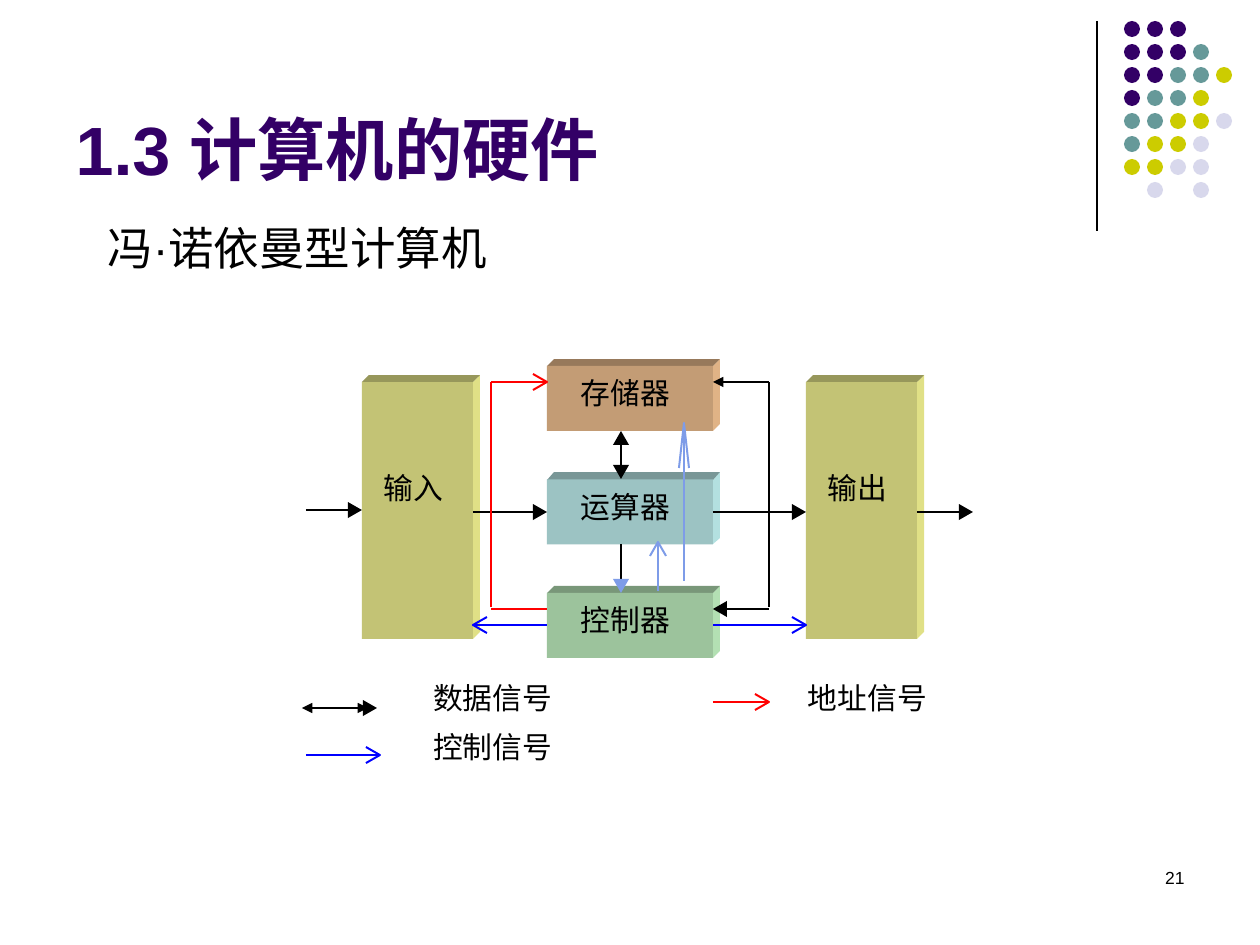
from math import hypot

from pptx import Presentation
from pptx.dml.color import RGBColor
from pptx.enum.shapes import MSO_CONNECTOR, MSO_SHAPE
from pptx.enum.text import MSO_ANCHOR, MSO_AUTO_SIZE, PP_ALIGN
from pptx.oxml.ns import qn
from pptx.util import Pt
from lxml import etree

STRAIGHT = MSO_CONNECTOR.STRAIGHT
OVAL, RECTANGLE = MSO_SHAPE.OVAL, MSO_SHAPE.RECTANGLE
TOP, BOTTOM = MSO_ANCHOR.TOP, MSO_ANCHOR.BOTTOM
LEFT, RIGHT = PP_ALIGN.LEFT, PP_ALIGN.RIGHT
NO_FIT = MSO_AUTO_SIZE.NONE

BLACK = RGBColor(0x00, 0x00, 0x00)
RED = RGBColor(0xFF, 0x00, 0x00)
BLUE = RGBColor(0x00, 0x00, 0xFF)
SKY = RGBColor(0x7E, 0x9C, 0xE8)
PURPLE = RGBColor(0x33, 0x00, 0x66)
TEAL = RGBColor(0x66, 0x99, 0x99)
YELLOW = RGBColor(0xCC, 0xCC, 0x00)
LILAC = RGBColor(0xD8, 0xD8, 0xEC)
# Front, top and side of each block
BROWN_FACES = RGBColor(0xC3, 0x9C, 0x75), RGBColor(0x97, 0x79, 0x5B), RGBColor(0xE0, 0xB3, 0x86)
OLIVE_FACES = RGBColor(0xC3, 0xC3, 0x75), RGBColor(0x97, 0x97, 0x5B), RGBColor(0xE0, 0xE0, 0x86)
AQUA_FACES = RGBColor(0x9C, 0xC3, 0xC3), RGBColor(0x79, 0x97, 0x97), RGBColor(0xB3, 0xE0, 0xE0)
GREEN_FACES = RGBColor(0x9C, 0xC3, 0x9C), RGBColor(0x79, 0x97, 0x79), RGBColor(0xB3, 0xE0, 0xB3)

EMU_PER_PX = 914400 / 126
LATIN, CHINESE = "Arial", "Noto Sans CJK SC"
DOT_COLOURS = {"p": PURPLE, "t": TEAL, "y": YELLOW, "l": LILAC}
DOT_ROWS = ["ppp", "pppt", "pptty", "ptty", "ttyyl", "tyyl", "yyll", ".l.l"]


def emu(*lengths):
    return [round(length * EMU_PER_PX) for length in lengths]


class Slide:
    line_width = Pt(1.13)
    label_size = 17
    depth = 7

    def __init__(self, page):
        self.page = page
        self.shapes = page.shapes

    def set_text(self, box, text, size, font, colour=BLACK, bold=False, align=LEFT, anchor=TOP):
        frame = box.text_frame
        frame.text = text
        frame.auto_size = NO_FIT
        frame.vertical_anchor = anchor
        para = frame.paragraphs[0]
        para.alignment = align
        for span in para.runs:
            span.font.size, span.font.name, span.font.bold = Pt(size), font, bold
            span.font.color.rgb = colour
            east_asian = etree.SubElement(span.font._element, qn("a:ea"))
            east_asian.set("typeface", CHINESE)
        return para

    def placeholder(self, index, place, text, size, **style):
        box = self.page.placeholders[index]
        box.left, box.top, box.width, box.height = emu(*place)
        return self.set_text(box, text, size, LATIN, **style)

    def body(self, place, text, size):
        para = self.placeholder(1, place, text, size)
        para.space_before = Pt(6.5)
        properties = para._p.get_or_add_pPr()
        properties.set("marL", "0")
        properties.set("indent", "0")
        etree.SubElement(properties, qn("a:buNone"))

    def page_number(self, place, text):
        box = self.shapes.add_textbox(*emu(*place))
        box.text_frame.word_wrap = True
        self.set_text(box, text, 10, LATIN, align=RIGHT)

    def label(self, left, top, text):
        box = self.shapes.add_textbox(*emu(left, top, 30 * len(text), 35))
        frame = box.text_frame
        frame.margin_left = frame.margin_right = frame.margin_top = frame.margin_bottom = 0
        frame.word_wrap = False
        self.set_text(box, text, self.label_size, CHINESE)

    def paint(self, shape, fill=None, line=None):
        shape.shadow.inherit = False
        if fill is None:
            shape.fill.background()
        else:
            shape.fill.solid()
            shape.fill.fore_color.rgb = fill
        if line is None:
            shape.line.fill.background()
        else:
            shape.line.color.rgb = line
            shape.line.width = self.line_width

    def preset(self, kind, place, fill):
        self.paint(self.shapes.add_shape(kind, *emu(*place)), fill)

    def outline(self, points, fill=None, line=None):
        builder = self.shapes.build_freeform(*points[0], scale=EMU_PER_PX)
        builder.add_line_segments(points[1:], close=fill is not None)
        self.paint(builder.convert_to_shape(), fill, line)

    def block(self, left, top, width, height, faces, text, label_at):
        front, lid, side = faces
        right, bottom, depth = left + width, top + height, self.depth
        self.outline([(right, bottom), (right, top), (right + depth, top - depth),
                      (right + depth, bottom - depth)], side)
        self.outline([(right, top), (left, top), (left + depth, top - depth),
                      (right + depth, top - depth)], lid)
        self.preset(RECTANGLE, (left, top, width, height), front)
        self.label(left + label_at[0], top + label_at[1], text)

    def line(self, start, end, colour=BLACK, width=line_width, ends=()):
        """Draw a line; ends may name "headEnd" (start) and "tailEnd" (end) triangles."""
        connector = self.shapes.add_connector(STRAIGHT, *emu(*start, *end))
        connector.line.color.rgb = colour
        connector.line.width = width
        for name in ends:
            etree.SubElement(connector.line._get_or_add_ln(), qn(f"a:{name}")).set("type", "triangle")
        etree.SubElement(connector._element.spPr, qn("a:effectLst"))

    def head(self, tail, tip, colour, is_open, length=14, half=8):
        """Draw an arrowhead at tip, pointing away from tail."""
        run, rise = tip[0] - tail[0], tip[1] - tail[1]
        reach = hypot(run, rise)
        across, down = run / reach, rise / reach
        base = tip[0] - across * length, tip[1] - down * length
        corners = [(round(base[0] + sign * down * half), round(base[1] - sign * across * half))
                   for sign in (1, -1)]
        points = [corners[0], tip, corners[1]]
        if is_open:
            self.outline(points, line=colour)
        else:
            self.outline(points, fill=colour)

    def solid_arrow(self, tail, tip, head_colour=BLACK, ends=()):
        stop = [b - 9 * ((b > a) - (b < a)) for a, b in zip(tail, tip)]
        self.line(tail, stop, ends=ends)
        self.head(tail, tip, head_colour, is_open=False)

    def open_arrow(self, tail, tip, colour, **head_size):
        self.line(tail, tip, colour)
        self.head(tail, tip, colour, is_open=True, **head_size)


def main():
    deck = Presentation()
    deck.slide_width, deck.slide_height = emu(1260, 945)
    slide = Slide(deck.slides.add_slide(deck.slide_layouts[1]))

    slide.line((1097, 21), (1097, 231), width=Pt(0.75))
    for row, codes in enumerate(DOT_ROWS):
        for column, code in enumerate(codes):
            if code in DOT_COLOURS:
                slide.preset(OVAL, (1124 + 23 * column, 21 + 23 * row, 16, 16), DOT_COLOURS[code])

    slide.page_number((903, 861, 294, 63), "21")
    slide.placeholder(0, (63, 16, 1040, 179), "1.3 计算机的硬件", 39,
                      colour=PURPLE, bold=True, anchor=BOTTOM)
    slide.body((95, 214, 557, 607), "冯·诺依曼型计算机", 26)

    units = [("存储器", BROWN_FACES), ("运算器", AQUA_FACES), ("控制器", GREEN_FACES)]
    for row, (text, faces) in enumerate(units):
        slide.block(547, 366 + 113.5 * row, 166, 65, faces, text, (34, 9))
    for left, text in ((362, "输入"), (806, "输出")):
        slide.block(left, 382, 111, 257, OLIVE_FACES, text, (22, 88))

    # Data flow
    for tail, tip in (((306, 510), (362, 510)), ((473, 512), (547, 512)),
                      ((713, 512), (806, 512)), ((917, 512), (973, 512)),
                      ((769, 609), (713, 609)), ((621, 455), (621, 431)),
                      ((621, 455), (621, 479))):
        slide.solid_arrow(tail, tip)
    slide.line((713, 382), (769, 382), ends=["headEnd"])
    slide.line((769, 382), (769, 607))
    slide.solid_arrow((621, 544), (621, 593), SKY)

    # Address flow
    slide.line((547, 609), (491, 609), RED)
    slide.line((491, 607), (491, 382), RED)
    slide.open_arrow((491, 382), (547, 382), RED)

    # Control flow
    slide.open_arrow((547, 625), (473, 625), BLUE)
    slide.open_arrow((713, 625), (806, 625), BLUE)
    slide.open_arrow((658, 591), (658, 542), SKY)
    slide.open_arrow((684, 581), (684, 423), SKY, length=45, half=5)

    # Legend
    slide.solid_arrow((302, 708), (377, 708), ends=["headEnd", "tailEnd"])
    slide.open_arrow((306, 755), (380, 755), BLUE)
    slide.open_arrow((713, 702), (769, 702), RED)
    for left, top, text in ((433, 680, "数据信号"), (433, 729, "控制信号"), (808, 680, "地址信号")):
        slide.label(left, top, text)

    deck.save("out.pptx")


if __name__ == "__main__":
    main()
